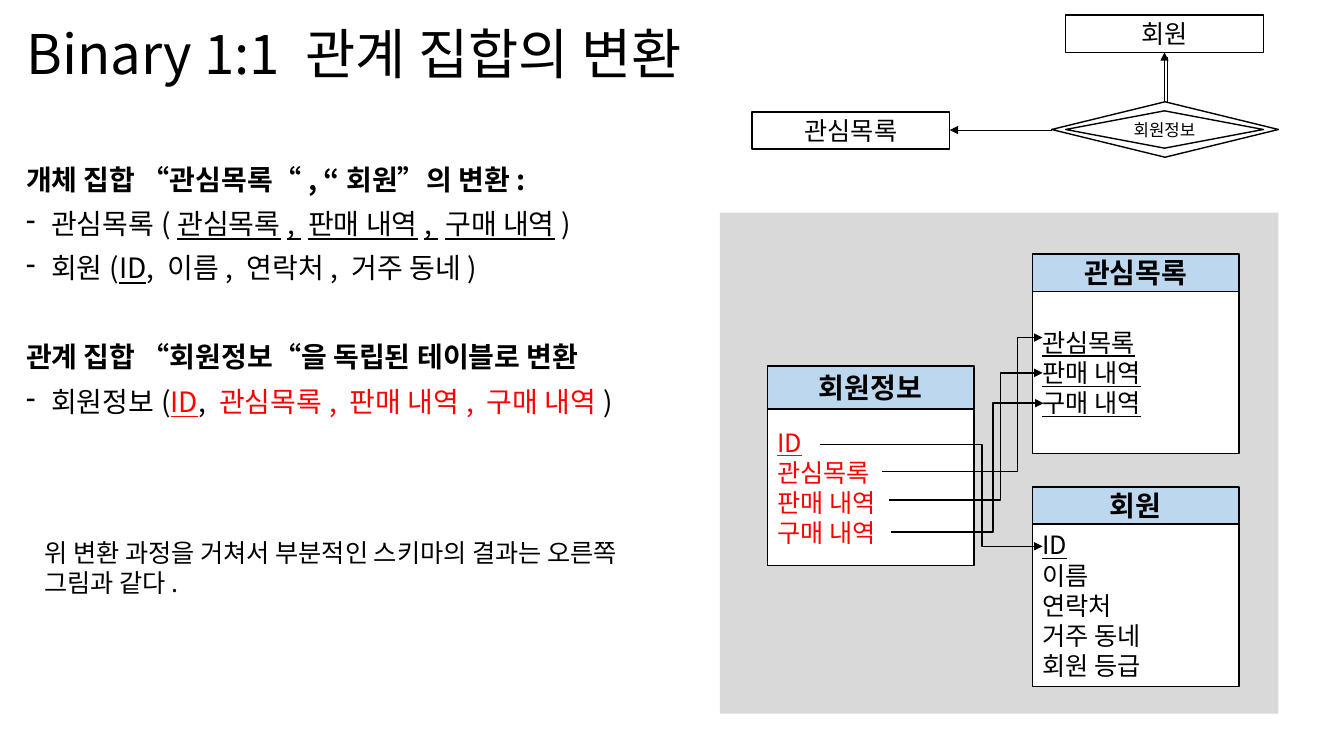
from dataclasses import dataclass

from lxml import etree
from pptx import Presentation
from pptx.dml.color import RGBColor
from pptx.enum.shapes import MSO_CONNECTOR, MSO_SHAPE
from pptx.enum.text import MSO_ANCHOR, MSO_AUTO_SIZE, PP_ALIGN
from pptx.oxml.ns import qn
from pptx.util import Pt

PX = 9144  # 100 px to the inch
FONT = "Noto Sans CJK KR"
BLACK, WHITE, RED, GRAY, BLUE = "000000", "FFFFFF", "FF0000", "D9D9D9", "BDD7EE"
LEFT, CENTER = PP_ALIGN.LEFT, PP_ALIGN.CENTER
TOP, MIDDLE = MSO_ANCHOR.TOP, MSO_ANCHOR.MIDDLE
NO_FIT = MSO_AUTO_SIZE.NONE
RECT, DIAMOND = MSO_SHAPE.RECTANGLE, MSO_SHAPE.DIAMOND
STRAIGHT, ELBOW = MSO_CONNECTOR.STRAIGHT, MSO_CONNECTOR.ELBOW


@dataclass
class Run:
    text: str
    color: str = BLACK
    bold: bool = False
    underline: bool = False


@dataclass
class Paragraph:
    runs: list[Run]
    bullet: bool = False
    before: int = 0


@dataclass
class Relation:
    left: int
    top: int
    header_height: int
    body_height: int
    name: str
    columns: list[Run]


@dataclass
class Link:
    start: tuple[int, int]
    end: tuple[int, int]
    bend_x: int | None = None
    width: float = 0.5
    arrow: bool = True


def key(text: str, color: str = BLACK) -> Run:
    return Run(text, color, underline=True)


def heading(text: str, before: int) -> Paragraph:
    return Paragraph([Run(text, bold=True)], before=before)


def item(*runs: Run) -> Paragraph:
    return Paragraph(list(runs), bullet=True, before=10)


def px(*lengths: int) -> list[int]:
    return [length * PX for length in lengths]


def rgb(color: str) -> RGBColor:
    return RGBColor.from_string(color)


def write(frame, paragraphs: list[Paragraph], *, size: int, align=LEFT,
          anchor=TOP, spacing: float | None = None) -> None:
    frame.word_wrap = True
    frame.auto_size = NO_FIT
    frame.vertical_anchor = anchor
    for index, content in enumerate(paragraphs):
        paragraph = frame.add_paragraph() if index else frame.paragraphs[0]
        paragraph.alignment = align
        paragraph.space_before = Pt(content.before)
        if spacing:
            paragraph.line_spacing = spacing
        if content.bullet:
            properties = paragraph._p.get_or_add_pPr()
            properties.set("marL", str(25 * PX))
            properties.set("indent", str(-25 * PX))
            etree.SubElement(properties, qn("a:buChar"), char="-")
        for part in content.runs:
            run = paragraph.add_run()
            run.text = part.text
            run.font.name = FONT
            run.font.size = Pt(size)
            run.font.bold = part.bold
            run.font.underline = part.underline
            run.font.color.rgb = rgb(part.color)
            etree.SubElement(run._r.get_or_add_rPr(), qn("a:ea"), typeface=FONT)


def add_box(shapes, place: tuple[int, int, int, int], *, kind=RECT,
            fill: str = WHITE, outlined: bool = True):
    box = shapes.add_shape(kind, *px(*place))
    box.shadow.inherit = False
    box.fill.solid()
    box.fill.fore_color.rgb = rgb(fill)
    if outlined:
        box.line.color.rgb = rgb(BLACK)
        box.line.width = Pt(1)
    else:
        box.line.fill.background()
    return box


def add_label(shapes, place: tuple[int, int, int, int], text: str, *, size: int = 18,
              bold: bool = False, kind=RECT, fill: str = WHITE) -> None:
    box = add_box(shapes, place, kind=kind, fill=fill)
    write(box.text_frame, [Paragraph([Run(text, bold=bold)])], size=size,
          align=CENTER, anchor=MIDDLE)


def add_relation(shapes, relation: Relation) -> None:
    members = shapes.add_group_shape().shapes
    body_top = relation.top + relation.header_height
    body = add_box(members, (relation.left, body_top, 205, relation.body_height))
    write(body.text_frame, [Paragraph([column]) for column in relation.columns],
          size=18, anchor=MIDDLE)
    add_label(members, (relation.left, relation.top, 205, relation.header_height),
              relation.name, size=20, bold=True, fill=BLUE)


def add_link(shapes, link: Link) -> None:
    kind = STRAIGHT if link.bend_x is None else ELBOW
    connector = shapes.add_connector(kind, *px(*link.start, *link.end))
    connector.line.color.rgb = rgb(BLACK)
    connector.line.width = Pt(link.width)
    properties = connector._element.spPr
    if link.bend_x is not None:
        ratio = (link.bend_x - link.start[0]) / (link.end[0] - link.start[0])
        guides = properties.find(qn("a:prstGeom")).find(qn("a:avLst"))
        etree.SubElement(guides, qn("a:gd"), name="adj1", fmla=f"val {round(ratio * 100000)}")
    if link.arrow:
        etree.SubElement(properties.find(qn("a:ln")), qn("a:tailEnd"), type="triangle")
    etree.SubElement(properties, qn("a:effectLst"))


INTEREST_KEYS = ["관심목록", "판매 내역", "구매 내역"]
INTEREST_LIST = ", ".join(INTEREST_KEYS)

CONVERSION = [
    heading("개체 집합 “관심목록“, “회원”의 변환:", 10),
    item(Run("관심목록("), key(INTEREST_LIST), Run(")")),
    item(Run("회원("), key("ID"), Run(", 이름, 연락처, 거주 동네)")),
    heading("관계 집합 “회원정보“을 독립된 테이블로 변환", 42),
    item(Run("회원정보("), key("ID", RED), Run(", "), Run(INTEREST_LIST, RED), Run(")")),
]
RELATIONS = [
    Relation(761, 363, 43, 155, "회원정보",
             [key("ID", RED)] + [Run(name, RED) for name in INTEREST_KEYS]),
    Relation(1024, 252, 37, 161, "관심목록", [key(name) for name in INTEREST_KEYS]),
    Relation(1024, 483, 37, 161, "회원",
             [key("ID")] + [Run(name) for name in ("이름", "연락처", "거주 동네", "회원 등급")]),
]
LINKS = [
    Link((1155, 101), (1155, 52)),
    Link((1043, 129), (942, 129)),
    Link((1158, 57), (1158, 102), arrow=False),
    Link((875, 468), (1034, 335), 1009, 1),
    Link((813, 441), (1034, 542), 974, 1),
    Link((882, 496), (1034, 370), 992, 1),
    Link((884, 528), (1035, 400), 985, 1),
]


def main() -> None:
    deck = Presentation()
    deck.slide_width, deck.slide_height = px(1333, 750)
    slide = deck.slides.add_slide(deck.slide_layouts[5])
    shapes = slide.shapes

    title = shapes.title
    title.left, title.top, title.width, title.height = px(16, 15, 730, 83)
    write(title.text_frame, [Paragraph([Run("Binary 1:1 관계 집합의 변환")])],
          size=39, anchor=MIDDLE, spacing=0.9)

    add_box(shapes, (714, 211, 554, 497), fill=GRAY, outlined=False)
    add_label(shapes, (1057, 15, 196, 37), "회원")
    add_label(shapes, (746, 111, 196, 37), "관심목록")
    diamonds = shapes.add_group_shape().shapes
    add_box(diamonds, (1043, 101, 225, 55), kind=DIAMOND)
    add_label(diamonds, (1057, 110, 196, 37), "회원정보", size=12, kind=DIAMOND)

    conversion = shapes.add_textbox(*px(16, 160, 864, 290))
    write(conversion.text_frame, CONVERSION, size=20, spacing=0.9)
    result = shapes.add_textbox(*px(34, 528, 662, 101))
    write(result.text_frame, [Paragraph([Run(
        "위 변환 과정을 거쳐서 부분적인 스키마의 결과는 오른쪽 그림과 같다.")])], size=18)

    for relation in RELATIONS:
        add_relation(shapes, relation)
    for link in LINKS:
        add_link(shapes, link)
    deck.save("out.pptx")


if __name__ == "__main__":
    main()
